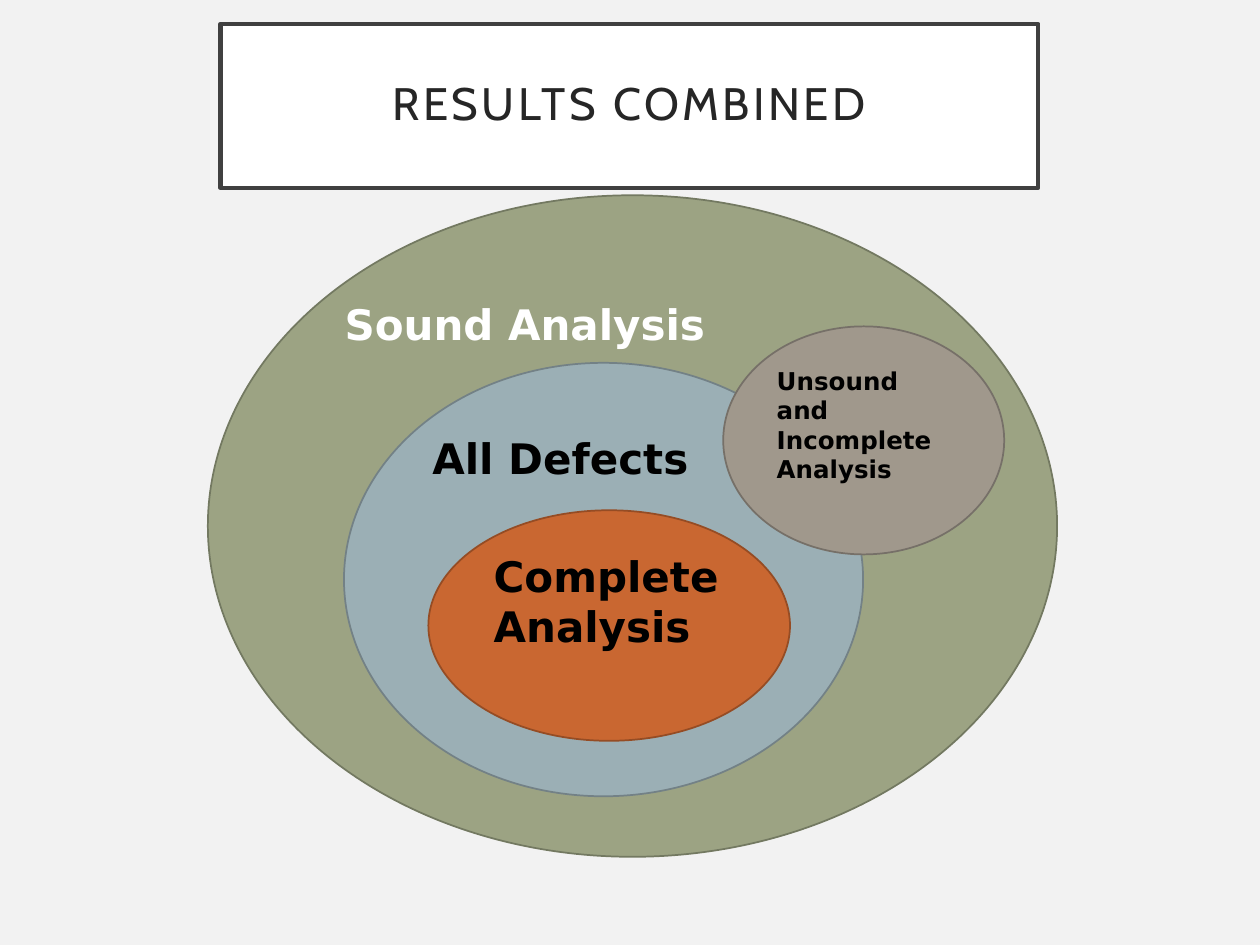
from dataclasses import dataclass
from typing import Any

from pptx import Presentation
from pptx import util as u
from pptx.dml.color import RGBColor
from pptx.enum import shapes, text


@dataclass(frozen=True)
class Theme:
    background: str = "F2F2F2"
    title_fill: str = "FFFFFF"
    title_line: str = "404040"
    title_text: str = "262626"
    light: str = "FFFFFF"
    dark: str = "000000"
    title_font: str = "Cabin"
    body_font: str = "DejaVu Sans"
    title_size: int = 26
    large: int = 24
    small: int = 14


@dataclass(frozen=True)
class Region:
    label: str
    left: float
    top: float
    width: float
    height: float
    fill: str
    line: str
    color: str
    size: int


THEME = Theme()
REGIONS = (
    Region("Sound Analysis", 1.65, 1.55, 6.74, 5.25, "9CA383", "737961", THEME.light, THEME.large),
    Region("All Defects", 2.73, 2.88, 4.12, 3.44, "9BAFB5", "738186", THEME.dark, THEME.large),
    Region("Complete Analysis", 3.4, 4.05, 2.87, 1.83, "C96731", "954C24", THEME.dark, THEME.large),
    Region("Unsound and Incomplete Analysis", 5.74, 2.59, 2.23, 1.81, "A0988C", "767068",
           THEME.dark, THEME.small),
)


def apply(target: Any, values: dict[str, Any]) -> None:
    for name, value in values.items():
        setattr(target, name, value)


def paint(shape: Any, fill: str, line: str, weight: float) -> None:
    shape.fill.solid()
    shape.fill.fore_color.rgb = RGBColor.from_string(fill)
    shape.line.color.rgb = RGBColor.from_string(line)
    shape.line.width = u.Pt(weight)


def write(para: Any, words: str, font: str, size: int, color: str, bold: bool) -> Any:
    span = para.add_run()
    span.text = words
    apply(span.font, {"name": font, "size": u.Pt(size), "bold": bold})
    span.font.color.rgb = RGBColor.from_string(color)
    return span


def format_title(title: Any, words: str) -> None:
    apply(title, {"left": u.Inches(1.75), "top": u.Inches(0.19),
                  "width": u.Inches(6.49), "height": u.Inches(1.3)})
    paint(title, THEME.title_fill, THEME.title_line, 2.5)
    frame = title.text_frame
    sides = ("left", "top", "right", "bottom")
    apply(frame, {f"margin_{side}": u.Inches(0.2) for side in sides})
    apply(frame, {"word_wrap": True, "auto_size": text.MSO_AUTO_SIZE.NONE,
                  "vertical_anchor": text.MSO_ANCHOR.MIDDLE})
    para = frame.paragraphs[0]
    apply(para, {"alignment": text.PP_ALIGN.CENTER, "line_spacing": 0.9})
    span = write(para, words, THEME.title_font, THEME.title_size, THEME.title_text, False)
    span.font._element.set("spc", "200")  # letter spacing, hundredths of a point


def draw_region(page: Any, region: Region) -> None:
    place = (region.left, region.top, region.width, region.height)
    oval = page.shapes.add_shape(shapes.MSO_SHAPE.OVAL, *map(u.Inches, place))
    oval.shadow.inherit = False
    paint(oval, region.fill, region.line, 1)
    apply(oval.text_frame, {"word_wrap": True, "vertical_anchor": text.MSO_ANCHOR.TOP})
    para = oval.text_frame.paragraphs[0]
    para.alignment = text.PP_ALIGN.LEFT
    write(para, region.label, THEME.body_font, region.size, region.color, True)


def main() -> None:
    deck = Presentation()
    apply(deck, {"slide_width": u.Inches(10), "slide_height": u.Inches(7.5)})
    page = deck.slides.add_slide(deck.slide_layouts.get_by_name("Title Only"))
    page.background.fill.solid()
    page.background.fill.fore_color.rgb = RGBColor.from_string(THEME.background)
    format_title(page.shapes.title, "RESULTS COMBINED")
    for region in REGIONS:
        draw_region(page, region)
    deck.save("out.pptx")


if __name__ == "__main__":
    main()
